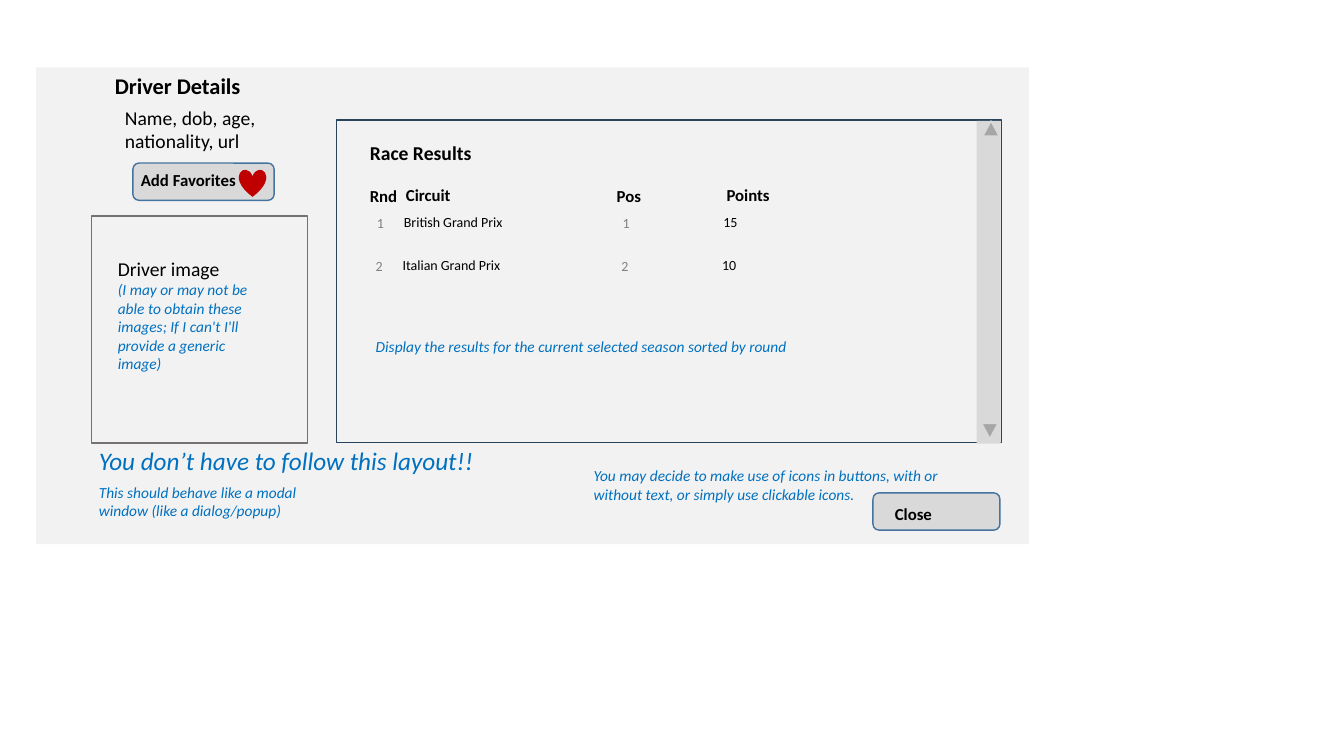
from pptx import Presentation
from pptx.dml.color import RGBColor
from pptx.enum.shapes import MSO_SHAPE as Kind
from pptx.enum.text import MSO_ANCHOR as Anchor, MSO_AUTO_SIZE as Fit, PP_ALIGN as Align
from pptx.util import Cm, Pt

# Content
TITLE = "Driver Details"
PERSON = "Name, dob, age, nationality, url"
PHOTO = "Driver image"
PHOTO_NOTE = ("(I may or may not be able to obtain these images; "
              "If I can't I'll provide a generic image)")
HEADING = "Race Results"
# Column: heading, heading left, value left, width, is number
COLUMNS = [
    ("Rnd", 9.07, 9.25, 1.3, True),
    ("Circuit", 9.98, 9.93, 4.8, False),
    ("Pos", 15.29, 15.44, 1.3, True),
    ("Points", 18.06, 17.98, 4.8, False),
]
RACES = [
    ("1", "British Grand Prix", "1", "15"),
    ("2", "Italian Grand Prix", "2", "10"),
]
# Note: text, left, top, width, height, size
NOTES = [
    ("You may decide to make use of icons in buttons, with or without text, "
     "or simply use clickable icons.", 14.71, 11.63, 9.86, 1.19, 11),
    ("Display the results for the current selected season sorted by round",
     9.22, 8.38, 12.5, 0.74, 11),
    ("You don’t have to follow this layout!!", 2.24, 11.1, 10.64, 1.03, 18),
    ("This should behave like a modal window (like a dialog/popup)",
     2.24, 12.04, 5.79, 1.19, 11),
]
# Button: text, box, text box
BUTTONS = [
    ("Add Favorites", (3.35, 4.11, 3.56, 0.94), (3.3, 4.14, 2.92, 0.76)),
    ("Close", (22, 12.42, 3.2, 0.94), (22.3, 12.57, 1.47, 0.76)),
]

BLACK, BLUE, GREY = "000000", "0070C0", "808080"
PANEL, BAR, ARROW = "F2F2F2", "D9D9D9", "A6A6A6"
ROW_TOP, ROW_STEP, NUM_DROP, ROW_SHIFT = 5.26, 1.07, 0.03, 0.03

deck = Presentation()
deck.slide_width, deck.slide_height = Cm(33.87), Cm(19.05)
slide = deck.slides.add_slide(deck.slide_layouts[5])


def color(code):
    return RGBColor.from_string(code)


def shape(kind, box, fill=None, line=None):
    item = slide.shapes.add_shape(kind, *map(Cm, box))
    item.shadow.inherit = False
    if fill:
        item.fill.solid()
        item.fill.fore_color.rgb = color(fill)
    else:
        item.fill.background()
    if line:
        item.line.color.rgb = color(line)
        item.line.width = Pt(1)
    else:
        item.line.fill.background()
    return item


def write(text, box, size=12, ink=BLACK, bold=False, italic=False,
          wrap=True, item=None):
    """Put text in a new box, or in the given item."""
    if item is None:
        item = slide.shapes.add_textbox(*map(Cm, box))
    else:
        item.left, item.top, item.width, item.height = map(Cm, box)
    frame = item.text_frame
    frame.word_wrap = wrap
    frame.auto_size = Fit.SHAPE_TO_FIT_TEXT
    frame.vertical_anchor = Anchor.TOP
    para = frame.paragraphs[0]
    para.alignment = Align.LEFT
    add_run(para, text, size, ink, bold, italic)
    return item


def add_run(para, text, size, ink, bold=False, italic=False):
    run = para.add_run()
    run.text = text
    font = run.font
    font.name, font.size = "Calibri", Pt(size)
    font.bold, font.italic = bold, italic
    font.color.rgb = color(ink)


# Window with its title in front
window = shape(Kind.RECTANGLE, (0.91, 1.7, 25.02, 12.01), PANEL)
title = write(TITLE, (2.64, 1.7, 4.45, 0.94), size=16, bold=True,
              item=slide.shapes.title)
window._element.addnext(title._element)
write(PERSON, (2.9, 2.54, 4.45, 1.45), size=14)

# Driver image
shape(Kind.RECTANGLE, (2.31, 5.44, 5.44, 5.72), line="767171")
photo = write(PHOTO, (2.72, 6.35, 4.37, 3.2), size=14)
add_run(photo.text_frame.add_paragraph(), PHOTO_NOTE, 11, BLUE, italic=True)

# Race results
shape(Kind.RECTANGLE, (8.48, 3.02, 16.76, 8.13), line="28445D")
write(HEADING, (9.07, 3.43, 6.53, 0.86), size=14, bold=True)
for col, (head, head_left, left, width, number) in enumerate(COLUMNS):
    drop = NUM_DROP if number else 0
    write(head, (head_left, 4.52 + drop, width, 0.76), bold=True)
    for row, race in enumerate(RACES):
        place = (left - row * ROW_SHIFT, ROW_TOP + row * ROW_STEP + drop,
                 width, 0.69)
        write(race[col], place, size=10, ink=GREY if number else BLACK)

# Notes
for text, left, top, width, height, size in NOTES:
    write(text, (left, top, width, height), size=size, ink=BLUE, italic=True)

# Buttons
for text, box, inner in BUTTONS:
    shape(Kind.ROUNDED_RECTANGLE, box, BAR, "43739E")
    write(text, inner, bold=True, wrap=False)
shape(Kind.HEART, (6.02, 4.27, 0.69, 0.69), "C00000")

# Scroll bar
shape(Kind.RECTANGLE, (24.61, 3.05, 0.61, 8.13), BAR)
for left, top, turn in [(24.74, 10.67, 180), (24.77, 3.05, 0)]:
    tip = shape(Kind.ISOSCELES_TRIANGLE, (left, top, 0.41, 0.38), ARROW, BAR)
    tip.rotation = turn

deck.save("out.pptx")
